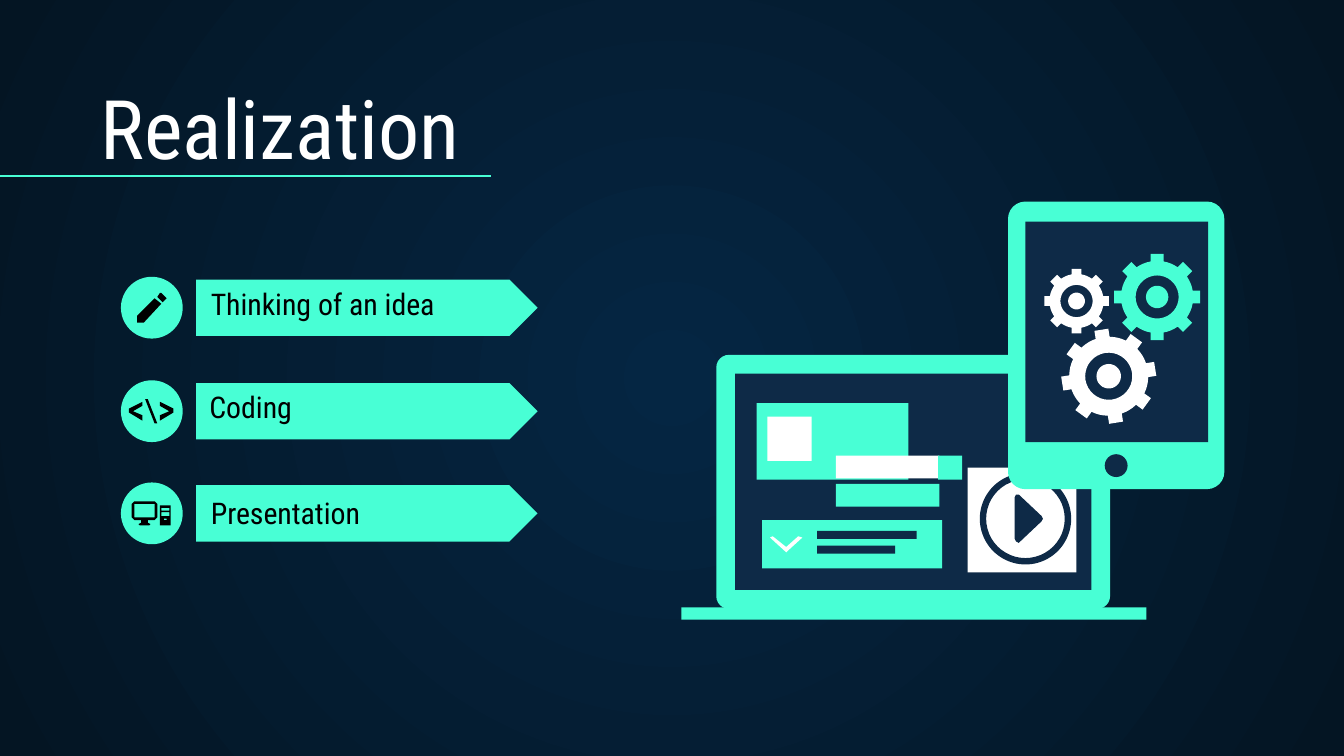
"""Build the Realization slide with its three steps and device drawing."""
import collections
import math

import lxml.etree
import pptx
import pptx.dml.color
import pptx.enum.shapes
import pptx.enum.text
import pptx.oxml.ns
import pptx.util

RGBColor = pptx.dml.color.RGBColor
Inches = pptx.util.Inches
Kind = pptx.enum.shapes.MSO_SHAPE
qn = pptx.oxml.ns.qn

MINT = RGBColor(0x48, 0xFF, 0xD5)
NAVY = RGBColor(0x0E, 0x2A, 0x47)
WHITE = RGBColor(0xFF, 0xFF, 0xFF)
BLACK = RGBColor(0, 0, 0)
GLOW = RGBColor(0x05, 0x26, 0x43)
EDGE = RGBColor(0x04, 0x15, 0x23)
FONT = "Roboto Condensed"

Step = collections.namedtuple("Step", "text mid left top")
Part = collections.namedtuple("Part", "left top width height fill kind adj",
                              defaults=(Kind.RECTANGLE, None))
Gear = collections.namedtuple("Gear", "x y tip fill tilt", defaults=(0,))

STEPS = [
    Step("Thinking of an idea", 2.29, 1.47, 2.28),
    Step("Coding", 3.06, 1.46, 3.05),
    Step("Presentation", 3.82, 1.47, 3.84),
]
LAPTOP = [
    Part(5.33, 2.64, 2.93, 1.89, MINT, Kind.ROUNDED_RECTANGLE, 0.05),
    Part(5.47, 2.78, 2.65, 1.61, NAVY),
    Part(5.07, 4.52, 3.46, 0.09, MINT),
    Part(5.63, 3, 1.13, 0.57, MINT),
    Part(5.71, 3.1, 0.33, 0.33, WHITE),
    Part(6.02, 3.87, 0.99, 0.36, MINT),
    Part(6.08, 3.95, 0.74, 0.06, NAVY),
    Part(6.08, 4.06, 0.58, 0.06, NAVY),
    Part(5.67, 3.87, 0.35, 0.36, MINT),
    Part(6.22, 3.6, 0.77, 0.17, MINT),
    Part(6.22, 3.39, 0.77, 0.17, WHITE),
    Part(6.98, 3.39, 0.18, 0.18, MINT),
    Part(7.2, 3.48, 0.81, 0.78, WHITE),
    Part(7.29, 3.52, 0.68, 0.68, NAVY, Kind.DONUT, 0.07),
]
TABLET = [
    Part(7.5, 1.5, 1.61, 2.14, MINT, Kind.ROUNDED_RECTANGLE, 0.08),
    Part(7.63, 1.65, 1.36, 1.64, NAVY),
    Part(8.22, 3.38, 0.17, 0.17, NAVY, Kind.OVAL),
]
GEARS = [
    Gear(8.61, 2.21, 0.32, MINT),
    Gear(8.01, 2.24, 0.24, WHITE),
    Gear(8.25, 2.8, 0.35, WHITE, -9),
]


def box(x: float, y: float, right: float, low: float) -> list:
    return [(x, y), (right, y), (right, low), (x, low)]


PENCIL = [
    [(1.19, 2.18), (1.2, 2.18), (1.24, 2.22), (1.21, 2.25), (1.17, 2.21)],
    [(1.15, 2.22), (1.02, 2.35), (1.02, 2.4), (1.07, 2.4), (1.2, 2.26)],
]
LESS = [(1.06, 3.13), (0.96, 3.07), (0.96, 3.04), (1.06, 2.99),
        (1.06, 3.02), (0.99, 3.06), (1.06, 3.09)]
SLASH = [(1.15, 3.15), (1.08, 2.97), (1.1, 2.97), (1.17, 3.15)]
MORE = [(2.25 - x, y) for x, y in LESS]
SCREEN = [
    box(1, 3.75, 1.15, 3.85),
    [(1, 3.73), (1.15, 3.73), (1.17, 3.75), (1.17, 3.85), (1.15, 3.87), (1.1, 3.87),
     (1.1, 3.89), (1.12, 3.9), (1.11, 3.91), (1.04, 3.91), (1.03, 3.9),
     (1.05, 3.89), (1.05, 3.87), (1, 3.87), (0.98, 3.85), (0.98, 3.75)],
]
TOWER = [box(1.19, 3.76, 1.27, 3.91), box(1.2, 3.78, 1.26, 3.8),
         box(1.2, 3.81, 1.26, 3.84), box(1.22, 3.86, 1.24, 3.87)]
CHECK = [(5.75, 3.99), (5.85, 4.07), (5.94, 3.99), (5.97, 4),
         (5.86, 4.1), (5.85, 4.11), (5.84, 4.1), (5.73, 4)]
PLAY = [(7.55, 3.7), (7.56, 3.68), (7.58, 3.68), (7.75, 3.84), (7.76, 3.86),
        (7.75, 3.88), (7.58, 4.04), (7.56, 4.03), (7.55, 4.01)]


def paint(shape, fill: RGBColor) -> None:
    shape.shadow.inherit = False
    shape.fill.solid()
    shape.fill.fore_color.rgb = fill
    shape.line.fill.background()


def place(shapes, part: Part) -> None:
    shape = shapes.add_shape(part.kind, *map(Inches, part[:4]))
    if part.adj is not None:
        shape.adjustments[0] = part.adj
    paint(shape, part.fill)


def trace(shapes, loops: list, fill: RGBColor) -> None:
    pen = shapes.build_freeform(*map(Inches, loops[0][0]))
    for loop in loops:
        first, *rest = [(Inches(x), Inches(y)) for x, y in loop]
        if loop is not loops[0]:
            pen.move_to(*first)
        pen.add_line_segments(rest, close=True)
    paint(pen.convert_to_shape(), fill)


def spin(gear: Gear, angle: float, out: float, side: float = 0) -> tuple:
    turn = math.radians(angle + gear.tilt)
    return (gear.x + out * math.sin(turn) + side * math.cos(turn),
            gear.y - out * math.cos(turn) + side * math.sin(turn))


def cog(shapes, gear: Gear) -> None:
    half, body, rim = 0.15 * gear.tip, 0.84 * gear.tip, []
    root = math.sqrt(body ** 2 - half ** 2)
    for angle in range(0, 360, 45):
        for out, side in ((root, -half), (gear.tip, -half), (gear.tip, half), (root, half)):
            rim.append(spin(gear, angle, out, side))
        rim += [spin(gear, angle + turn, body) for turn in (17, 22.5, 28)]
    rings = [[spin(gear, angle, gear.tip * part) for angle in range(0, 360, 10)]
             for part in (0.5, 0.26)]
    trace(shapes, [rim, *rings], gear.fill)


def write(shape, text: str, *, size: float, color: RGBColor) -> None:
    frame = shape.text_frame
    frame.word_wrap = True
    frame.auto_size = pptx.enum.text.MSO_AUTO_SIZE.NONE
    frame.vertical_anchor = pptx.enum.text.MSO_ANCHOR.BOTTOM
    for side in ("left", "top", "right", "bottom"):
        setattr(frame, f"margin_{side}", Inches(0.1))
    frame.paragraphs[0].alignment = pptx.enum.text.PP_ALIGN.LEFT
    run = frame.paragraphs[0].add_run()
    run.text = text
    run.font.name, run.font.size = FONT, pptx.util.Pt(size)
    run.font.color.rgb = color


def shade(slide) -> None:
    fill = slide.background.fill
    fill.gradient()
    for stop, color in zip(fill.gradient_stops, (GLOW, EDGE)):
        stop.color.rgb = color
    grad = slide.element.find(".//" + qn("a:gradFill"))
    grad.remove(grad.find(qn("a:lin")))
    ring = lxml.etree.SubElement(grad, qn("a:path"), {"path": "circle"})
    lxml.etree.SubElement(ring, qn("a:fillToRect"), dict.fromkeys("ltrb", "50000"))


deck = pptx.Presentation()
deck.slide_width, deck.slide_height = Inches(10), Inches(10 * 9 / 16)
slide = deck.slides.add_slide(deck.slide_layouts[5])
shapes = slide.shapes
shade(slide)
title = shapes.title
title.left, title.top, title.width, title.height = map(Inches, (0.65, 0.75, 8.57, 0.66))
write(title, "Realization", size=44, color=WHITE)
ends = map(Inches, (0, 1.31, 3.65, 1.31))
rule = shapes.add_connector(pptx.enum.shapes.MSO_CONNECTOR.STRAIGHT, *ends)
rule.line.color.rgb = MINT
rule.line.width = pptx.util.Pt(0.75)
lxml.etree.SubElement(rule.element.spPr, qn("a:effectLst"))
for step in STEPS:
    place(shapes, Part(1.46, step.mid - 0.21, 2.54, 0.42, MINT, Kind.PENTAGON, 0.5))
    place(shapes, Part(0.9, step.mid - 0.23, 0.46, 0.46, MINT, Kind.OVAL))
    label = shapes.add_textbox(*map(Inches, (step.left, step.top, 2.27, 0.21)))
    write(label, step.text, size=16, color=BLACK)
for icon in (PENCIL, [LESS], [SLASH], [MORE], SCREEN, TOWER):
    trace(shapes, icon, BLACK)
for part in LAPTOP:
    place(shapes, part)
trace(shapes, [CHECK], WHITE)
trace(shapes, [PLAY], NAVY)
for part in TABLET:
    place(shapes, part)
for gear in GEARS:
    cog(shapes, gear)
deck.save("out.pptx")
